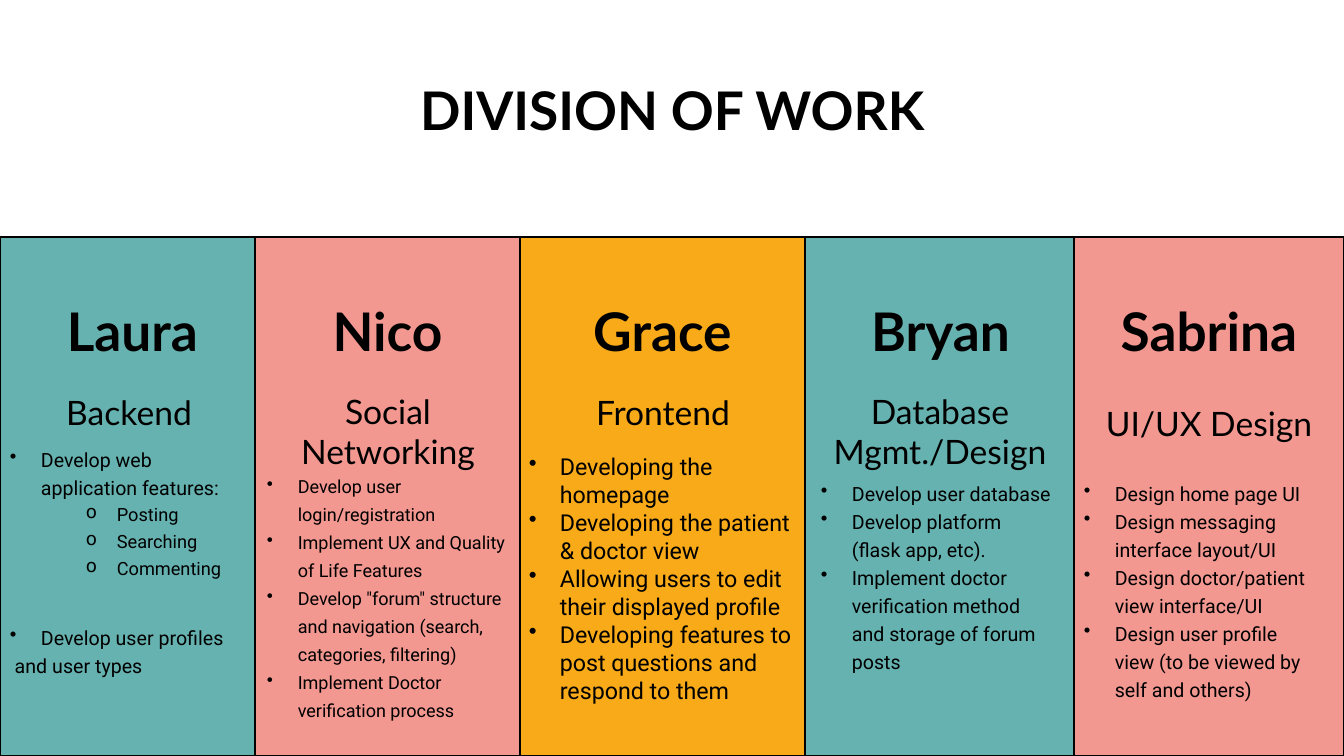
from dataclasses import dataclass

import pptx
import pptx.dml.color
import pptx.enum.shapes
import pptx.enum.text
import pptx.oxml.ns
import pptx.util
from lxml import etree

EMU_PER_PX = 914400 / 100.8


@dataclass(frozen=True)
class Theme:
    ink: str = "000000"
    teal: str = "66B2B0"
    pink: str = "F39891"
    amber: str = "F9AA19"
    heading_font: str = "Lato"
    body_font: str = "Roboto"
    heading_size: float = 38
    role_size: float = 24
    subtask_size: float = 13
    task_pitch: float = 20
    border: float = 1.75


THEME = Theme()


@dataclass(frozen=True)
class Area:
    left: int
    top: int
    width: int
    height: int


@dataclass(frozen=True)
class Task:
    text: str
    bullet: str = "•"
    level: int = 0
    gap_before: float = 0


@dataclass(frozen=True)
class Member:
    name: str
    role: str
    color: str
    left: int
    width: int
    role_left: int
    role_top: int
    task_area: Area
    task_size: float
    tasks: tuple[Task, ...]
    side_inset: int = 0


CARD_TOP, CARD_HEIGHT, NAME_INSET = 237, 519, 69
ROLE_WIDTH, ROLE_HEIGHT = 252, 34
HANG, SUBTASK_INDENT = 31, 107

MEMBERS = (
    Member("Laura", "Backend", THEME.teal, 0, 265, 3, 387, Area(0, 438, 250, 292), 14, (
        Task("Develop web application features:"),
        Task("Posting", "o", 1, 5),
        Task("Searching", "o", 1, 5),
        Task("Commenting", "o", 1, 5),
        Task("Develop user profiles", gap_before=30),
        Task(" and user types", bullet=""),
    ), side_inset=10),
    Member("Nico", "Social Networking", THEME.pink, 255, 265, 262, 386, Area(257, 464, 265, 292), 12.9, (
        Task("Develop user login/registration"),
        Task("Implement UX and Quality of Life Features"),
        Task('Develop "forum" structure and navigation (search, categories, filtering)'),
        Task("Implement Doctor verification process"),
    )),
    Member("Grace", "Frontend", THEME.amber, 520, 285, 537, 387, Area(519, 447, 285, 309), 16.6, (
        Task("Developing the homepage"),
        Task("Developing the patient & doctor view"),
        Task("Allowing users to edit their displayed profile"),
        Task("Developing features to post questions and respond to them"),
    )),
    Member("Bryan", "Database Mgmt./Design", THEME.teal, 805, 271, 814, 386, Area(811, 472, 252, 71), 14, (
        Task("Develop user database"),
        Task("Develop platform (flask app, etc)."),
        Task("Implement doctor verification method and storage of forum posts"),
    ), side_inset=10),
    Member("Sabrina", "UI/UX Design", THEME.pink, 1074, 270, 1083, 398, Area(1074, 472, 252, 71), 14, (
        Task("Design home page UI"),
        Task("Design messaging interface layout/UI"),
        Task("Design doctor/patient view interface/UI"),
        Task("Design user profile view (to be viewed by self and others)"),
    )),
)


def px(length: int) -> pptx.util.Emu:
    return pptx.util.Emu(round(length * EMU_PER_PX))


def rgb(color: str) -> pptx.dml.color.RGBColor:
    return pptx.dml.color.RGBColor.from_string(color)


def bounds(area: Area) -> tuple[pptx.util.Emu, ...]:
    return px(area.left), px(area.top), px(area.width), px(area.height)


def style(para, family: str, size: float, bold: bool = False) -> None:
    para.font.name = family
    para.font.size = pptx.util.Pt(size)
    para.font.bold = bold
    para.font.color.rgb = rgb(THEME.ink)


def write_heading(frame, text: str, size: float, bold: bool, spacing: float) -> None:
    frame.word_wrap = True
    para = frame.paragraphs[0]
    para.text = text
    para.alignment = pptx.enum.text.PP_ALIGN.CENTER
    para.line_spacing = spacing
    style(para, THEME.heading_font, size, bold)


def add_bullet(para, task: Task) -> None:
    properties = para._p.get_or_add_pPr()
    indent = SUBTASK_INDENT if task.level else HANG
    properties.set("marL", str(px(indent)))
    properties.set("indent", str(px(-HANG)))
    bullet = etree.SubElement(properties, pptx.oxml.ns.qn("a:buChar"))
    bullet.set("char", task.bullet)


def add_card(page, member: Member) -> None:
    area = Area(member.left, CARD_TOP, member.width, CARD_HEIGHT)
    card = page.shapes.add_shape(pptx.enum.shapes.MSO_SHAPE.RECTANGLE, *bounds(area))
    card.shadow.inherit = False
    card.fill.solid()
    card.fill.fore_color.rgb = rgb(member.color)
    card.line.color.rgb = rgb(THEME.ink)
    card.line.width = pptx.util.Pt(THEME.border)
    frame = card.text_frame
    frame.vertical_anchor = pptx.enum.text.MSO_ANCHOR.TOP
    frame.margin_top = px(NAME_INSET)
    frame.margin_left = frame.margin_right = px(member.side_inset)
    write_heading(frame, member.name, THEME.heading_size, True, 0.9)


def add_role(page, member: Member) -> None:
    area = Area(member.role_left, member.role_top, ROLE_WIDTH, ROLE_HEIGHT)
    box = page.shapes.add_textbox(*bounds(area))
    write_heading(box.text_frame, member.role, THEME.role_size, False, 1.0)


def add_tasks(page, member: Member) -> None:
    frame = page.shapes.add_textbox(*bounds(member.task_area)).text_frame
    frame.word_wrap = True
    for index, task in enumerate(member.tasks):
        para = frame.add_paragraph() if index else frame.paragraphs[0]
        para.text = task.text
        para.level = task.level
        para.line_spacing = 0.9 if task.level else pptx.util.Pt(THEME.task_pitch)
        para.space_before = pptx.util.Pt(task.gap_before)
        if task.bullet:
            add_bullet(para, task)
        style(para, THEME.body_font, THEME.subtask_size if task.level else member.task_size)


def main() -> None:
    deck = pptx.Presentation()
    deck.slide_width, deck.slide_height = px(1344), px(756)
    page = deck.slides.add_slide(deck.slide_layouts[6])

    # Title
    title = page.shapes.add_textbox(*bounds(Area(93, 40, 1159, 146))).text_frame
    title.vertical_anchor = pptx.enum.text.MSO_ANCHOR.MIDDLE
    write_heading(title, "DIVISION OF WORK", THEME.heading_size, True, 0.9)

    # Coloured cards, one per member
    for member in MEMBERS:
        add_card(page, member)

    # Roles and task lists on the cards
    for member in MEMBERS:
        add_role(page, member)
        add_tasks(page, member)

    deck.save("out.pptx")


if __name__ == "__main__":
    main()
